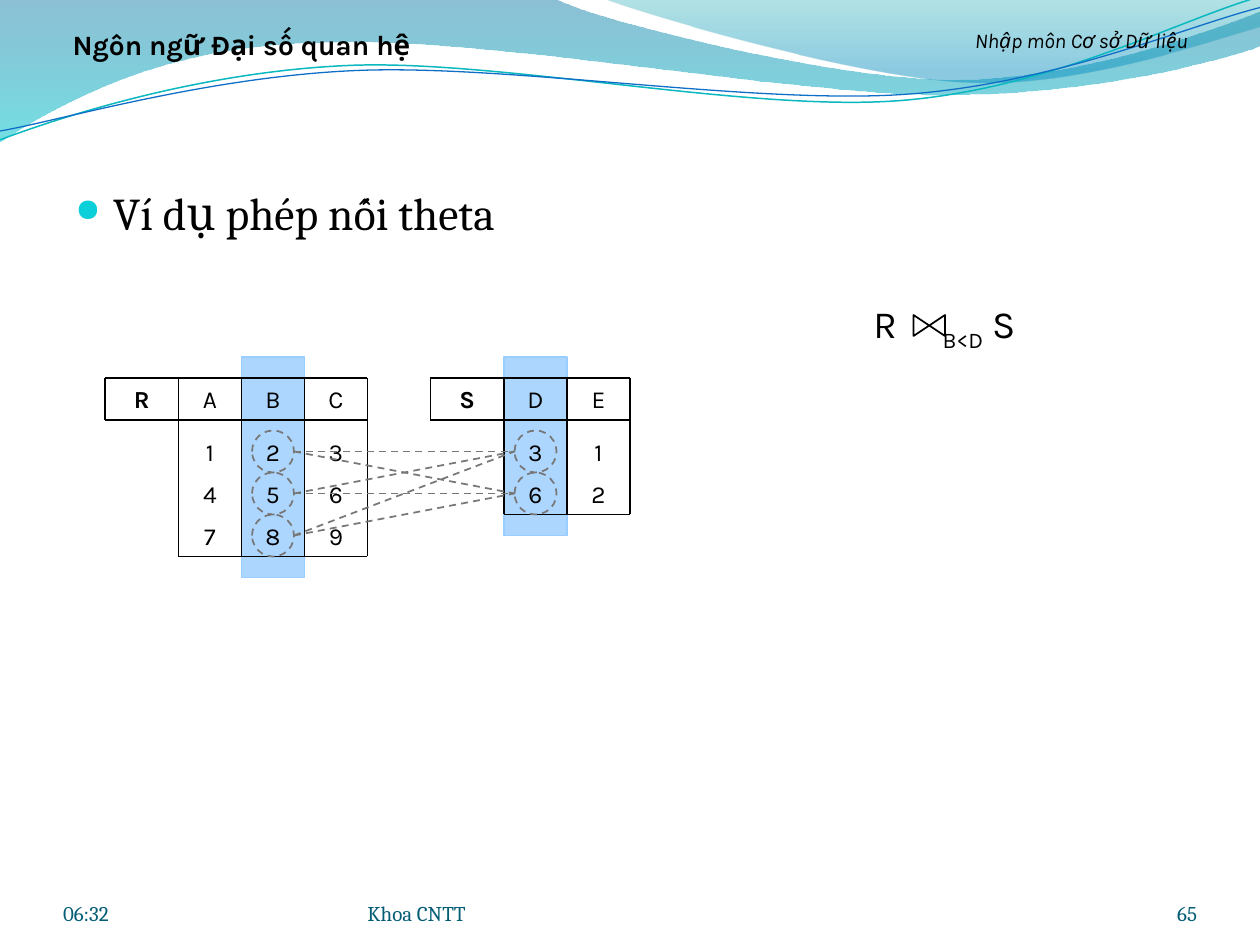
from dataclasses import dataclass
from itertools import product

from lxml import etree
from pptx import Presentation, util as u
from pptx.dml.color import RGBColor
from pptx.enum import dml, shapes, text
from pptx.oxml import ns


@dataclass(frozen=True)
class Theme:
    serif: str = "Cambria"
    sans: str = "Karla"
    ink: str = "000000"
    footer: str = "045D75"
    bullet: str = "0BD0D9"
    band: str = "99CCFF"
    link: str = "777777"
    small: int = 12
    cell: int = 14
    heading: int = 16
    formula: int = 22
    body: int = 26


THEME = Theme()
UNIT = u.Inches(1) / 12
COLUMNS, ROWS = 120, 90

RIBBONS = [
    ([(0, -0.01), (4.4, -0.01),
      (4.76, 0.17, 6.64, 0.63, 7.58, 0.63), (8.53, 0.63, 9.58, 0.26, 10, 0.09),
      (10.01, 0.36),
      (9.83, 0.44, 8.7, 0.76, 7.46, 0.75), (6.22, 0.75, 3.82, 0.28, 2.57, 0.34),
      (1.29, 0.35, 0.46, 0.83, -0.01, 1.13)],
     [(0, "0074A1", 45), (1, "00C6CF", 55)]),
    ([(4.79, -0.01),
      (5.09, 0.11, 6.82, 0.62, 7.69, 0.65), (8.56, 0.69, 9.61, 0.32, 10, 0.21),
      (10, 0)],
     [(0, "00A1A9", 30), (0.8, "008BBF", 45)]),
]
WAVES = [
    ([(0, 1.11), (0.48, 0.93, 1.58, 0.57, 2.77, 0.52),
      (3.95, 0.47, 5.93, 0.89, 7.13, 0.8), (8.33, 0.71, 9.38, 0.15, 9.98, -0.02)],
     "0AB8BF", 0.85),
    ([(0, 1.04), (0.47, 0.96, 1.64, 0.61, 2.83, 0.56),
      (4.03, 0.51, 5.97, 0.83, 7.17, 0.75), (8.36, 0.67, 9.41, 0.21, 10, 0.06)],
     "0F6FC6", 0.75),
]
RELATIONS = [
    {"name": "R", "left": 10, "match": 1, "fields": "ABC", "values": ["123", "456", "789"]},
    {"name": "S", "left": 41, "match": 0, "fields": "DE", "values": ["31", "62"]},
]
TOP, LABEL, COLUMN, ROW, GAP = 36, 7, 6, 4, 1
FOOTERS = [((6, 83.4, 28, 4.8), "06:32", "LEFT"),
           ((35, 83.4, 44, 4.8), "Khoa CNTT", "LEFT"),
           ((104, 83.4, 10, 4.8), "65", "RIGHT")]
HEADINGS = [((86, 2, 34, 4.5), "Nhập môn Cơ sở Dữ liệu", {"size": THEME.small, "italic": True}),
            ((3, 2, 40, 4.5), "Ngôn ngữ Đại số quan hệ", {"size": THEME.heading, "bold": True})]
FORMULA = [("R\t", 0), ("B<D", -25000), (" S", 0)]


def grid(*cells):
    return [u.Emu(round(cell * UNIT)) for cell in cells]


def rgb(value):
    return RGBColor.from_string(value)


def add(parent, tag, **attributes):
    return etree.SubElement(parent, ns.qn(tag), attributes)


def set_alpha(fill, percents):
    colours = fill._xPr.iter(ns.qn("a:srgbClr"))
    for colour, percent in zip(colours, percents):
        add(colour, "a:alpha", val=str(percent * 1000))


def stroke(item, colour, width=1, dashed=False):
    item.line.color.rgb = rgb(colour)
    item.line.width = u.Pt(width)
    if dashed:
        item.line.dash_style = dml.MSO_LINE.DASH


def write(frame, spans, font=THEME.sans, size=THEME.cell, colour=THEME.ink,
          align="CENTER", bold=False, italic=False, bullet=None, tab=None):
    para = frame.paragraphs[0]
    para.alignment = text.PP_ALIGN[align]
    props = para._p.get_or_add_pPr()
    if bullet:
        props.set("marL", str(u.Inches(0.3)))
        props.set("indent", str(-u.Inches(0.3)))
        add(add(props, "a:buClr"), "a:srgbClr", val=THEME.bullet)
        add(props, "a:buSzPct", val="70000")
        add(props, "a:buChar", char=bullet)
    if tab:
        add(add(props, "a:tabLst"), "a:tab", pos=str(u.Inches(tab)), algn="l")
    for words, baseline in [(spans, 0)] if isinstance(spans, str) else spans:
        span = para.add_run()
        span.text = words
        span.font.name, span.font.size = font, u.Pt(size)
        span.font.bold, span.font.italic = bold, italic
        span.font.color.rgb = rgb(colour)
        if baseline:
            span.font._element.set("baseline", str(baseline))


def add_text(page, place, spans, flush=False, **style):
    frame = page.shapes.add_textbox(*grid(*place)).text_frame
    frame.word_wrap = True
    if flush:
        frame.margin_left = frame.margin_right = frame.margin_top = frame.margin_bottom = 0
        frame.vertical_anchor = text.MSO_ANCHOR.BOTTOM
    write(frame, spans, **style)


def add_preset(page, kind, place):
    shape = page.shapes.add_shape(shapes.MSO_SHAPE[kind], *grid(*place))
    shape.shadow.inherit = False
    shape.fill.background()
    return shape


def add_line(page, ends, colour=THEME.ink, dashed=False):
    line = page.shapes.add_connector(shapes.MSO_CONNECTOR.STRAIGHT, *grid(*ends))
    stroke(line, colour, dashed=dashed)
    add(line._element.spPr, "a:effectLst")


def add_curve(page, steps, close):
    points = [(u.Inches(x), u.Inches(y))
              for step in steps for x, y in zip(step[::2], step[1::2])]
    builder = page.shapes.build_freeform(*points[0])
    builder.add_line_segments(points[1:], close=close)
    shape = builder.convert_to_shape()
    shape.shadow.inherit = False
    segments = shape._element.spPr.iter(ns.qn("a:lnTo"))
    for step, segment in zip(steps[1:], segments_per_step(steps[1:], list(segments))):
        if len(step) == 6:
            curve = etree.Element(ns.qn("a:cubicBezTo"))
            segment[0].addprevious(curve)
            for part in segment:
                curve.append(part[0])
                part.getparent().remove(part)
    return shape


def segments_per_step(steps, segments):
    start = 0
    for step in steps:
        count = len(step) // 2
        yield segments[start:start + count]
        start += count


def add_ribbon(page, steps, stops):
    shape = add_curve(page, steps, True)
    shape.line.fill.background()
    shape.fill.gradient()
    shape.fill.gradient_angle = 270
    for stop, (position, colour, _) in zip(shape.fill.gradient_stops, stops):
        stop.position, stop.color.rgb = position, rgb(colour)
    set_alpha(shape.fill, [alpha for _, _, alpha in stops])


def value_tops(relation):
    return [TOP + ROW + GAP + ROW * n for n in range(len(relation["values"]))]


def field_lefts(relation):
    return [relation["left"] + LABEL + COLUMN * n for n in range(len(relation["fields"]))]


def match_left(relation):
    return field_lefts(relation)[relation["match"]]


def add_relation(page, relation):
    left, lefts = relation["left"], field_lefts(relation)
    right, bottom = lefts[-1] + COLUMN, value_tops(relation)[-1] + ROW
    add_text(page, (left, TOP, LABEL, ROW), relation["name"], bold=True)
    lines = [relation["fields"]] + relation["values"]
    for top, line in zip([TOP] + value_tops(relation), lines):
        for x, value in zip(lefts, line):
            add_text(page, (x, top, COLUMN, ROW), value)
    for start, y in [(left, TOP), (left, TOP + ROW), (lefts[0], bottom)]:
        add_line(page, (start, y, right, y))
    for x in [left] + lefts + [right]:
        add_line(page, (x, TOP, x, TOP + ROW if x == left else bottom))


def add_links(page):
    for relation in RELATIONS:
        for top in value_tops(relation):
            ring = add_preset(page, "OVAL", (match_left(relation) + 1, top, ROW, ROW))
            stroke(ring, THEME.link, dashed=True)
    first, second = RELATIONS
    for start, end in product(value_tops(first), value_tops(second)):
        add_line(page, (match_left(first) + 1 + ROW, start + ROW / 2,
                        match_left(second) + 1, end + ROW / 2), THEME.link, dashed=True)


def main():
    deck = Presentation()
    deck.slide_width, deck.slide_height = grid(COLUMNS, ROWS)
    page = deck.slides.add_slide(deck.slide_layouts[6])
    for steps, stops in RIBBONS:
        add_ribbon(page, steps, stops)
    for steps, colour, width in WAVES:
        wave = add_curve(page, steps, False)
        wave.fill.background()
        stroke(wave, colour, width)
    add_text(page, (6, 17, 108, 63.5), "Ví dụ phép nối theta", font=THEME.serif,
             size=THEME.body, align="LEFT", bullet="●")
    for relation in RELATIONS:
        height = ROW * (len(relation["values"]) + 2) + GAP
        band = add_preset(page, "RECTANGLE", (match_left(relation), TOP - 2, COLUMN, height))
        band.fill.solid()
        band.fill.fore_color.rgb = rgb(THEME.band)
        set_alpha(band.fill, [80])
        stroke(band, THEME.band)
    for relation in RELATIONS:
        add_relation(page, relation)
    add_text(page, (82, 28, 20, 5.6), FORMULA, size=THEME.formula, align="LEFT", tab=0.55)
    bowtie = add_preset(page, "FLOWCHART_COLLATE", (87.5, 29.5, 2, 3))
    bowtie.rotation = 270
    stroke(bowtie, THEME.ink)
    add_links(page)
    for place, words, align in FOOTERS:
        add_text(page, place, words, flush=True, font=THEME.serif, size=THEME.small,
                 colour=THEME.footer, align=align)
    for place, words, style in HEADINGS:
        add_text(page, place, words, **style)
    deck.save("out.pptx")


if __name__ == "__main__":
    main()
